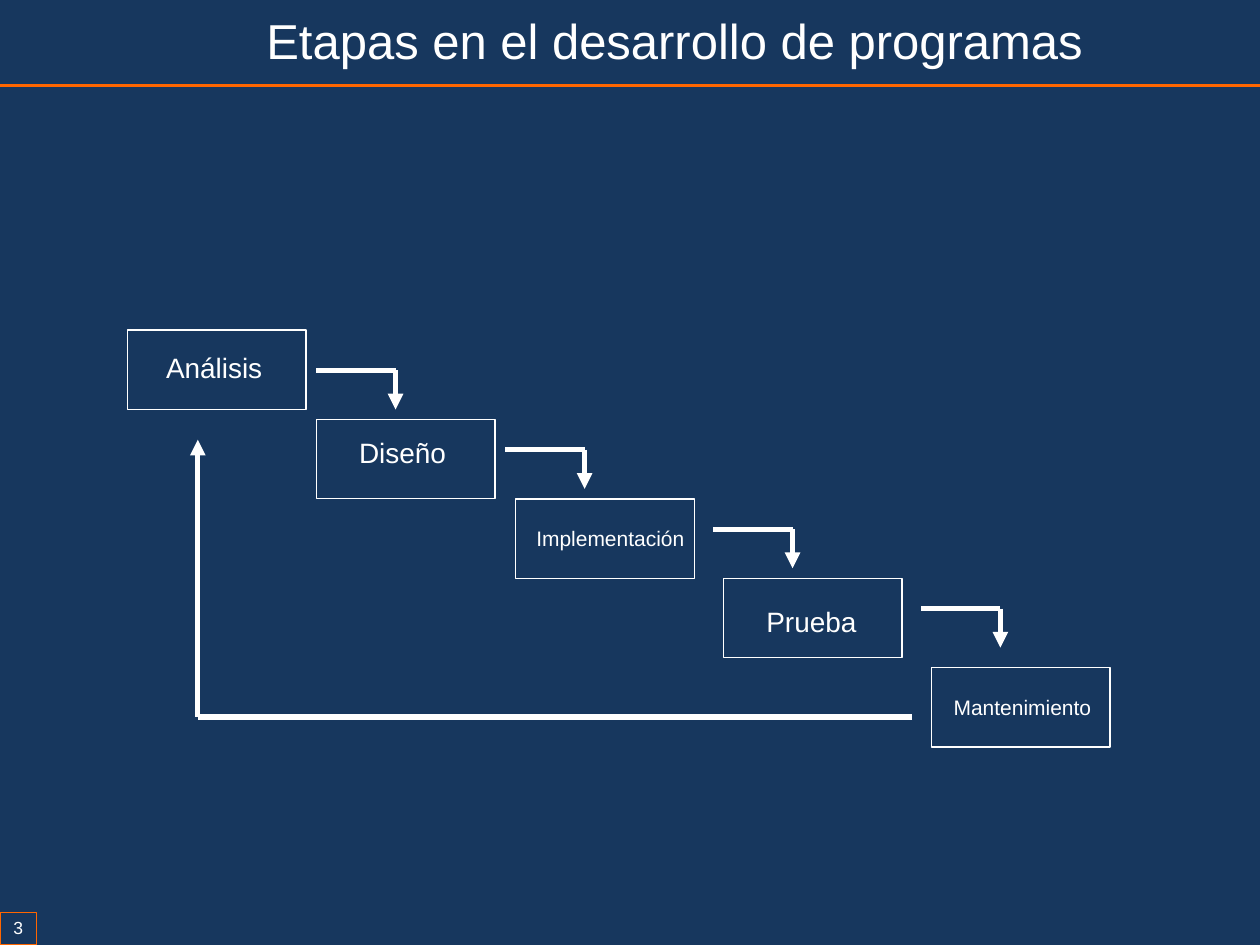
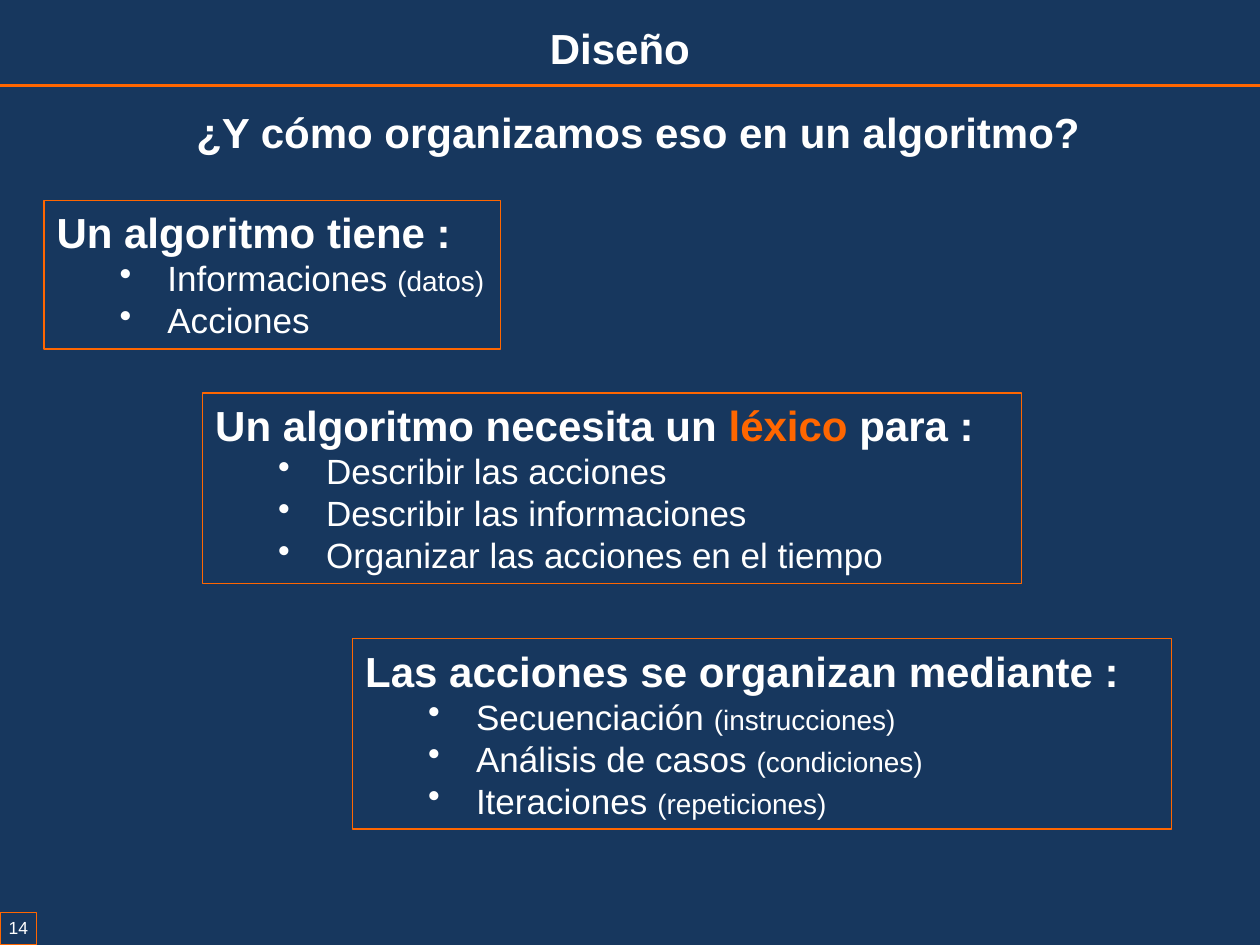
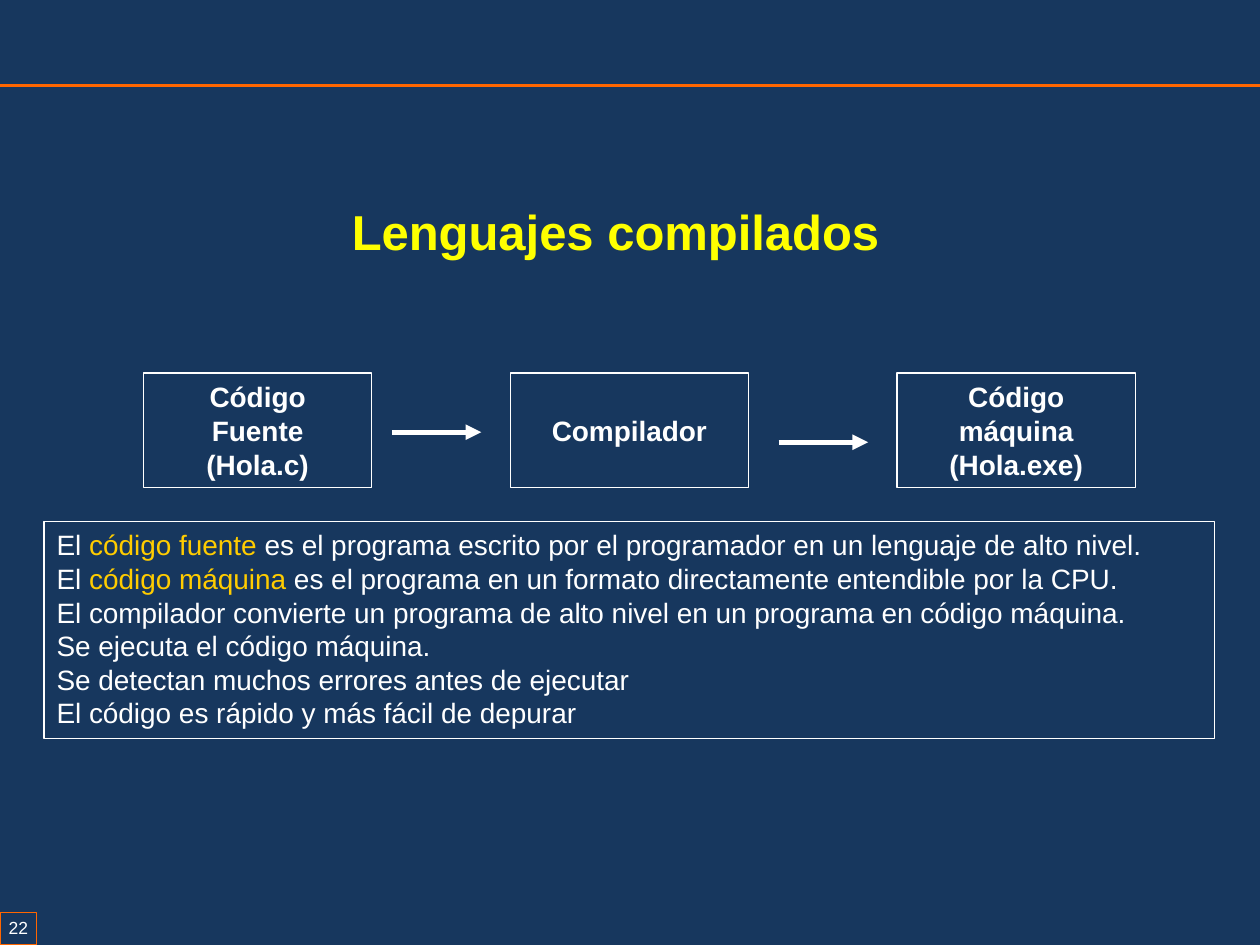
from lxml import etree
from pptx import Presentation
from pptx.dml.color import RGBColor
from pptx.enum.shapes import MSO_CONNECTOR, MSO_SHAPE
from pptx.enum.text import MSO_ANCHOR, MSO_AUTO_SIZE, PP_ALIGN
from pptx.oxml.ns import qn
from pptx.util import Inches, Pt

NAVY = RGBColor(0x17, 0x37, 0x5E)
ORANGE = RGBColor(0xFF, 0x66, 0x00)
WHITE = RGBColor(0xFF, 0xFF, 0xFF)
YELLOW = RGBColor(0xFF, 0xFF, 0x00)
GOLD = RGBColor(0xFF, 0xCC, 0x00)

LEFT, CENTER, RIGHT = PP_ALIGN.LEFT, PP_ALIGN.CENTER, PP_ALIGN.RIGHT
TOP, MIDDLE = MSO_ANCHOR.TOP, MSO_ANCHOR.MIDDLE
NO_AUTOSIZE = MSO_AUTO_SIZE.NONE
RECTANGLE = MSO_SHAPE.RECTANGLE
STRAIGHT = MSO_CONNECTOR.STRAIGHT

COLUMNS, ROWS = 100, 75
CELL = Inches(0.1)
TITLE_ONLY = 5
FONT = "Arial"

HEADING = {"size": Pt(24), "bold": True}
ITEM = {"size": Pt(20)}
NOTE = {"size": Pt(16)}
SMALL = {"size": Pt(12)}
PAGE_NUMBER = {"size": Pt(10)}
BIG_TITLE = {"size": Pt(28)}
STAGE = {"size": Pt(16), "bold": True}


def cells(*counts):
    """Turn counts of grid cells into slide lengths."""
    return [round(count * CELL) for count in counts]


def write(shape, paragraphs, align=LEFT, anchor=TOP, wrap=True):
    """Fill a shape with paragraphs, each a list of (text, format, colour) spans."""
    frame = shape.text_frame
    settings = {"auto_size": NO_AUTOSIZE, "word_wrap": wrap, "vertical_anchor": anchor}
    for name, value in settings.items():
        setattr(frame, name, value)
    for index, spans in enumerate(paragraphs):
        para = frame.add_paragraph() if index else frame.paragraphs[0]
        para.alignment = align
        for text, style, *color in spans:
            span = para.add_run()
            span.text = text
            for name, value in {"name": FONT, "bold": False, **style}.items():
                setattr(span.font, name, value)
            span.font.color.rgb = color[0] if color else WHITE
    return frame


def add_frame(page, box, color=WHITE):
    """Draw an outlined rectangle without fill."""
    shape = page.shapes.add_shape(RECTANGLE, *cells(*box))
    shape.shadow.inherit = False
    shape.fill.background()
    shape.line.color.rgb = color
    shape.line.width = Pt(0.75)
    return shape


def add_line(page, start, end, color=WHITE, width=3, arrow=False):
    """Draw a straight line, with an arrowhead at its end if asked."""
    line = page.shapes.add_connector(STRAIGHT, *cells(*start, *end))
    line.line.color.rgb = color
    line.line.width = Pt(width)
    if arrow:
        etree.SubElement(line.line._get_or_add_ln(), qn("a:tailEnd"), type="triangle")
    etree.SubElement(line._element.spPr, qn("a:effectLst"))


def add_elbow(page, start, corner, end):
    """Draw a two-part arrow that turns at a corner."""
    add_line(page, start, corner)
    add_line(page, corner, end, arrow=True)


def add_label(page, box, text, style):
    """Place a centred line of text."""
    label = page.shapes.add_textbox(*cells(*box))
    write(label, [[(text, style)]], align=CENTER, wrap=False)


def add_page(deck, number, title, box, style, color=WHITE, align=CENTER):
    """Add a slide with its title, rule and page number."""
    page = deck.slides.add_slide(deck.slide_layouts[TITLE_ONLY])
    heading = page.shapes.title
    heading.left, heading.top, heading.width, heading.height = cells(*box)
    write(heading, [[(title, style, color)]], align=align)
    add_line(page, (0, 6.8), (COLUMNS, 6.8), color=ORANGE, width=2)
    badge = add_frame(page, (0, ROWS - 2.6, 2.9, 2.6), ORANGE)
    frame = write(badge, [[(str(number), PAGE_NUMBER)]], align=CENTER, wrap=False)
    frame.margin_left = frame.margin_right = Inches(0.02)
    frame.margin_top = frame.margin_bottom = Inches(0.04)
    return page


def add_staircase(page, left, top):
    """Draw the descending stages, the arrows between them and the way back."""
    width, height = 14.2, 6.3
    stages = [
        ("Análisis", NOTE, (0, 0), (2.1, 1.1, 9.6, 3.7)),
        ("Diseño", NOTE, (15, 7.1), (2.4, 0.8, 8.9, 3.7)),
        ("Implementación", SMALL, (30.8, 13.4), (0.7, 1.6, 13.7, 3)),
        ("Prueba", NOTE, (47.3, 19.7), (2.4, 1.6, 9.2, 3.7)),
        ("Mantenimiento", SMALL, (63.8, 26.8), (0.8, 1.6, 12.9, 3)),
    ]
    for text, style, (across, down), (inset, drop, *size) in stages:
        x, y = left + across, top + down
        add_frame(page, (x, y, width, height))
        add_label(page, (x + inset, y + drop, *size), text, style)
    for step, across in enumerate((15, 30, 46.5, 63)):
        x, y = left + across, top + 3.2 + step * height
        add_elbow(page, (x, y), (x + 6.3, y), (x + 6.3, y + 3.1))
    back, base = left + 5.6, top + 30.7
    add_elbow(page, (left + 62.3, base), (back, base), (back, top + 8.7))


def add_list_panel(page, box, heading, items):
    """Draw a framed heading followed by bulleted items."""
    lines = [[(text, ITEM), (note, NOTE)] if note else [(text, ITEM)] for text, note in items]
    frame = write(add_frame(page, box, ORANGE), [heading, *lines])
    for para in frame.paragraphs[1:]:
        para.level = 1
        properties = para._p.get_or_add_pPr()
        properties.set("marL", str(Inches(0.88)))
        properties.set("indent", str(Inches(-0.38)))
        etree.SubElement(properties, qn("a:buChar"), char="•")


def add_compile_flow(page, top):
    """Draw the row of compilation stages and its arrows."""
    stages = [
        (11.4, 18.1, ["Código", "Fuente", "(Hola.c)"]),
        (40.5, 18.9, ["Compilador"]),
        (71.2, 18.9, ["Código máquina", "(Hola.exe)"]),
    ]
    for left, width, lines in stages:
        shape = add_frame(page, (left, top, width, 9.1))
        write(shape, [[(line, STAGE)] for line in lines], align=CENTER, anchor=MIDDLE)
    for left, drop in ((31.1, 4.7), (61.8, 5.5)):
        add_line(page, (left, top + drop), (left + 7.1, top + drop), arrow=True)


def build_stages(deck):
    """Build the slide of development stages."""
    page = add_page(deck, 3, "Etapas en el desarrollo de programas",
                    (19.2, 0.3, 67.7, 5.7), BIG_TITLE, align=RIGHT)
    add_staircase(page, 10.1, 26.2)


def build_design(deck):
    """Build the slide on organising an algorithm."""
    page = add_page(deck, 14, "Diseño", (16.9, 1.3, 64.6, 5), HEADING)
    question = page.shapes.add_textbox(*cells(14.6, 8, 72.8, 5))
    write(question, [[("¿Y cómo organizamos eso en un algoritmo?", HEADING)]])
    panels = [
        ((3.5, 15.9, 36.2, 11.8), [("Un algoritmo tiene :", HEADING)],
         [("Informaciones ", "(datos)"), ("Acciones", "")]),
        ((16.1, 31.2, 65, 15.1),
         [("Un algoritmo necesita un ", HEADING), ("léxico", HEADING, ORANGE), (" para :", HEADING)],
         [("Describir las acciones", ""), ("Describir las informaciones", ""),
          ("Organizar las acciones en el tiempo", "")]),
        ((28, 50.7, 65, 15.1), [("Las acciones se organizan mediante :", HEADING)],
         [("Secuenciación ", "(instrucciones)"), ("Análisis de casos ", "(condiciones)"),
          ("Iteraciones ", "(repeticiones)")]),
    ]
    for panel in panels:
        add_list_panel(page, *panel)


def build_compiled(deck):
    """Build the slide on compiled languages."""
    page = add_page(deck, 22, "Lenguajes compilados", (9.1, 15.5, 79.5, 5.7),
                    {**BIG_TITLE, "bold": True}, color=YELLOW)
    terms = [
        ("código fuente", " es el programa escrito por el programador en un lenguaje de alto nivel."),
        ("código máquina", " es el programa en un formato directamente entendible por la CPU."),
    ]
    facts = [
        "El compilador convierte un programa de alto nivel en un programa en código máquina.",
        "Se ejecuta el código máquina.",
        "Se detectan muchos errores antes de ejecutar",
        "El código es rápido y más fácil de depurar",
    ]
    lines = [[("El ", NOTE), (term, NOTE, GOLD), (meaning, NOTE)] for term, meaning in terms]
    lines += [[(fact, NOTE)] for fact in facts]
    write(add_frame(page, (3.5, 41.4, 92.9, 17.2)), lines)
    add_compile_flow(page, 29.6)


def main():
    """Build and save the deck."""
    deck = Presentation()
    deck.slide_width, deck.slide_height = cells(COLUMNS, ROWS)
    background = deck.slide_master.background.fill
    background.solid()
    background.fore_color.rgb = NAVY
    for build in (build_stages, build_design, build_compiled):
        build(deck)
    deck.save("out.pptx")


if __name__ == "__main__":
    main()
